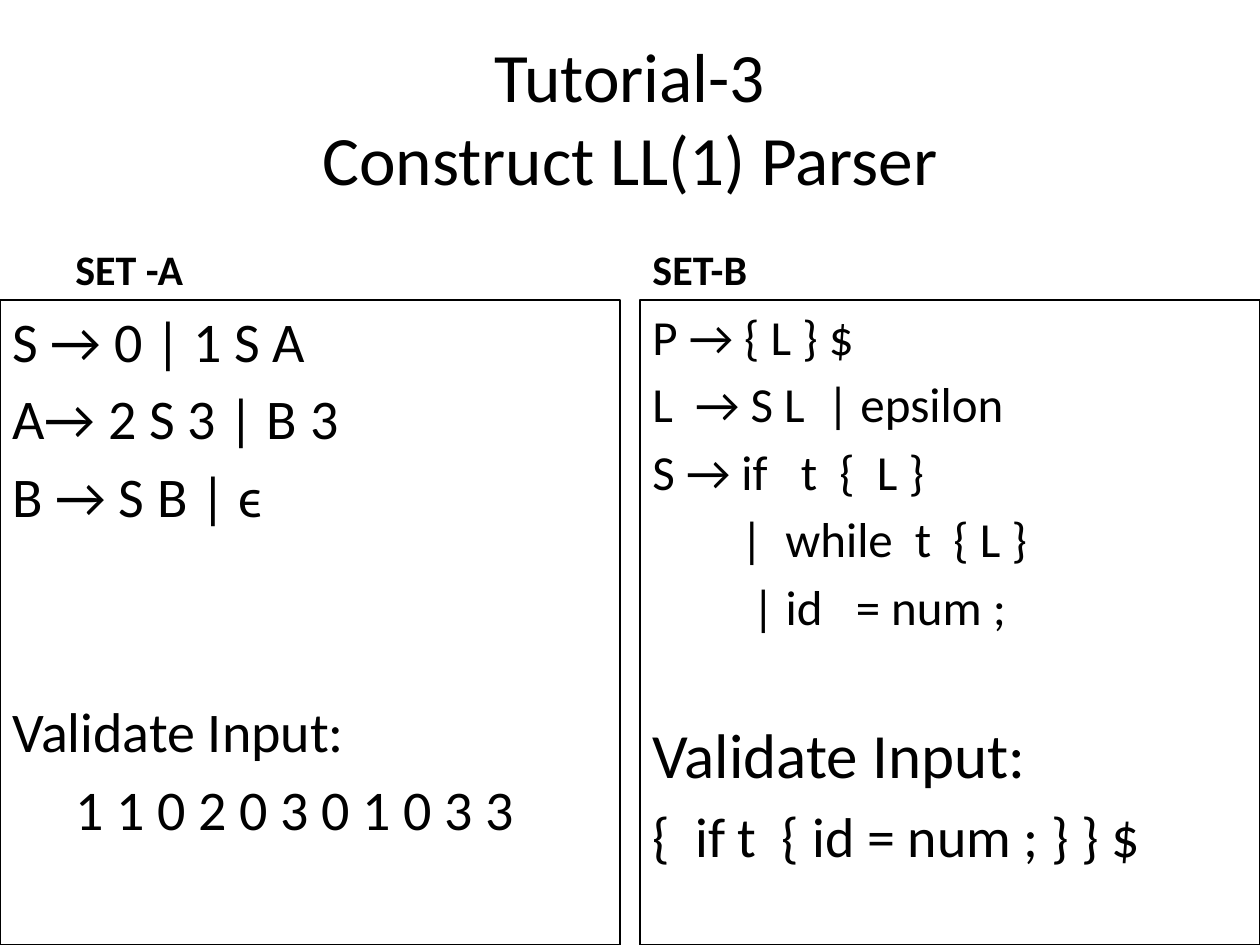
from pptx import Presentation
from pptx.dml.color import RGBColor
from pptx.enum.shapes import MSO_SHAPE
from pptx.enum.text import MSO_ANCHOR, MSO_AUTO_SIZE, PP_ALIGN
from pptx.util import Inches, Pt

BLACK = RGBColor(0x00, 0x00, 0x00)
FONT = "Calibri"

HEAD_TOP, HEAD_W, HEAD_H = 1.68, 4.42, 0.7
BOX_TOP, BOX_W, BOX_H = 2.38, 4.92, 5.12

# Each line: text, size (pt), space before (pt), left indent (in)
SETS = [
    ("SET -A", 0.5, 0, [
        ("S → 0 | 1 S A", 32, 0, 0),
        ("A→ 2 S 3 | B 3", 32, 6, 0),
        ("B → S B | ϵ", 32, 6, 0),
        ("Validate Input:", 32, 96, 0),
        ("1 1 0 2 0 3 0 1 0 3 3", 32, 6, 0.5),
    ]),
    ("SET-B", 5.08, 5.08, [
        ("P → { L } $", 28, 0, 0),
        ("L  → S L  | epsilon", 28, 5, 0),
        ("S → if   t  {  L }", 28, 5, 0),
        ("|  while  t  { L }", 28, 5, 0.7),
        ("| id   = num ;", 28, 5, 0.79),
        ("Validate Input:", 36, 46, 0),
        ("{  if t  { id = num ; } } $", 32, 6, 0),
    ]),
]


def set_font(p, size, bold=False):
    p.font.name = FONT
    p.font.size = Pt(size)
    p.font.bold = bold
    p.font.color.rgb = BLACK


prs = Presentation()
prs.slide_width, prs.slide_height = Inches(10), Inches(7.5)
s = prs.slides.add_slide(prs.slide_layouts[5])

title = s.shapes.title
title.left, title.top = Inches(0.5), Inches(0.3)
title.width, title.height = Inches(9), Inches(1.25)
tf = title.text_frame
tf.text = "Tutorial-3\vConstruct LL(1) Parser"
tf.auto_size = MSO_AUTO_SIZE.NONE
tf.vertical_anchor = MSO_ANCHOR.MIDDLE
tf.paragraphs[0].alignment = PP_ALIGN.CENTER
set_font(tf.paragraphs[0], 39.6)

for heading, head_left, box_left, lines in SETS:
    head = s.shapes.add_textbox(Inches(head_left), Inches(HEAD_TOP),
                                Inches(HEAD_W), Inches(HEAD_H))
    tf = head.text_frame
    tf.word_wrap = True
    tf.vertical_anchor = MSO_ANCHOR.BOTTOM
    tf.text = heading
    set_font(tf.paragraphs[0], 24, bold=True)

    box = s.shapes.add_shape(MSO_SHAPE.RECTANGLE, Inches(box_left), Inches(BOX_TOP),
                             Inches(BOX_W), Inches(BOX_H))
    box.shadow.inherit = False
    box.fill.background()
    box.line.color.rgb = BLACK
    box.line.width = Pt(0.75)
    tf = box.text_frame
    tf.word_wrap = True
    tf.vertical_anchor = MSO_ANCHOR.TOP
    tf.text = "\n".join(line[0] for line in lines)
    for p, (_, size, before, indent) in zip(tf.paragraphs, lines):
        p.alignment = PP_ALIGN.LEFT
        p.space_before = Pt(before)
        p._p.get_or_add_pPr().set("marL", str(Inches(indent)))
        set_font(p, size)

prs.save("out.pptx")
